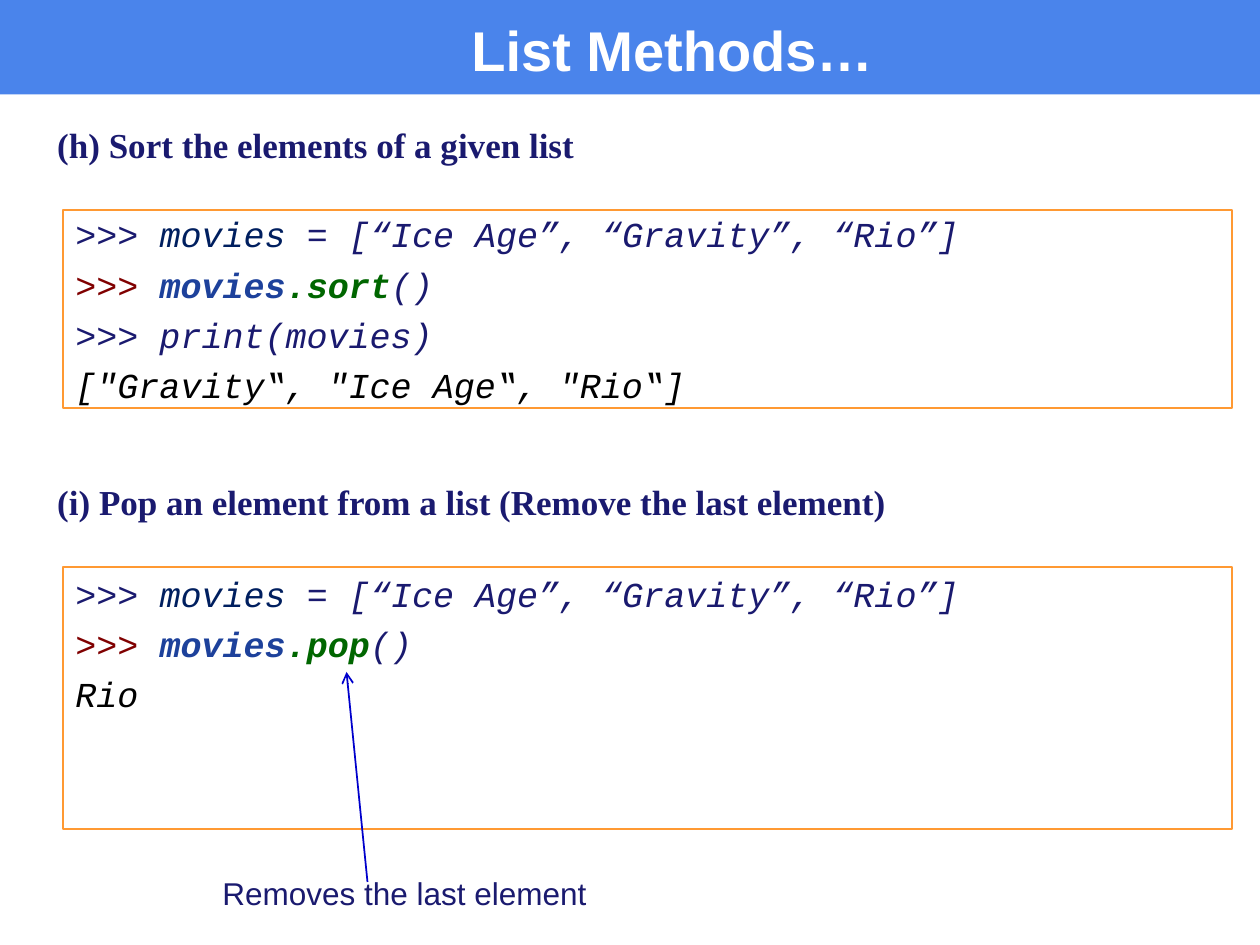
from lxml import etree
from pptx import Presentation
from pptx.dml.color import RGBColor
from pptx.enum.shapes import MSO_CONNECTOR, MSO_SHAPE
from pptx.enum.text import MSO_ANCHOR, PP_ALIGN
from pptx.oxml.ns import qn
from pptx.util import Pt

RECT = MSO_SHAPE.RECTANGLE
STRAIGHT = MSO_CONNECTOR.STRAIGHT
TOP = MSO_ANCHOR.TOP
LEFT = PP_ALIGN.LEFT

COLORS = {
    "bar": "4A84EB", "white": "FFFFFF", "navy": "1A1A6F", "variable": "001F5F",
    "prompt": "800000", "object": "1D419B", "method": "006600",
    "output": "000000", "frame": "FF9933", "arrow": "0000CC",
}

TITLE = "List Methods…"
CAPTION = "Removes the last element"
ASSIGN = [(">>> ", "navy", False), ("movies ", "variable", False),
          ("= [“Ice Age”, “Gravity”, “Rio”]", "navy", False)]


def call(method):
    return [(">>> ", "prompt", False), ("movies", "object", True),
            ("." + method, "method", True), ("()", "navy", False)]


SECTIONS = [
    {"heading": "(h) Sort the elements of a given list",
     "heading_top": 69.8, "top": 120.2, "height": 113, "inset": 1.4,
     "code": [ASSIGN, call("sort"), [(">>> print(movies)", "navy", False)],
              [("[\"Gravity‟, \"Ice Age‟, \"Rio‟]", "output", False)]]},
    {"heading": "(i) Pop an element from a list (Remove the last element)",
     "heading_top": 273.6, "top": 324, "height": 149.8, "inset": 2.9,
     "code": [ASSIGN, call("pop"), [("Rio", "output", False)]]},
]

prs = Presentation()
prs.slide_width, prs.slide_height = Pt(720), Pt(540)
slide = prs.slides.add_slide(prs.slide_layouts[6])


def rgb(name):
    return RGBColor.from_string(COLORS[name])


def add_rect(x, y, w, h, fill=None, line=None):
    s = slide.shapes.add_shape(RECT, Pt(x), Pt(y), Pt(w), Pt(h))
    s.shadow.inherit = False
    if fill:
        s.fill.solid()
        s.fill.fore_color.rgb = rgb(fill)
    else:
        s.fill.background()
    if line:
        s.line.color.rgb = rgb(line)
        s.line.width = Pt(1)
    else:
        s.line.fill.background()
    return s


def write(s, lines, font, size, italic=False, left=0, top=0.9, gap=0):
    tf = s.text_frame
    tf.word_wrap = True
    tf.vertical_anchor = TOP
    tf.margin_left, tf.margin_top = Pt(left), Pt(top)
    tf.margin_right = tf.margin_bottom = 0
    for i, line in enumerate(lines):
        p = tf.add_paragraph() if i else tf.paragraphs[0]
        p.alignment = LEFT
        p.space_before = Pt(gap if i else 0)
        for text, color, bold in line:
            r = p.add_run()
            r.text = text
            r.font.name, r.font.size = font, Pt(size)
            r.font.bold, r.font.italic = bold, italic
            r.font.color.rgb = rgb(color)


def add_label(text, x, y, w, h, font, size, color="navy", bold=True):
    s = slide.shapes.add_textbox(Pt(x), Pt(y), Pt(w), Pt(h))
    write(s, [[(text, color, bold)]], font, size, left=0.9)


add_rect(0, 0, 720, 54, fill="bar")
add_label(TITLE, 268.5, 8, 240, 40, "Arial", 32, color="white")

for section in SECTIONS:
    add_label(section["heading"], 31.8, section["heading_top"], 516, 26,
              "Times New Roman", 20)
    box = add_rect(36, section["top"], 668.2, section["height"], line="frame")
    write(box, section["code"], "Courier New", 20, italic=True,
          left=7.2, top=section["inset"], gap=4.8)

arrow = slide.shapes.add_connector(STRAIGHT, Pt(210), Pt(504), Pt(198), Pt(384))
arrow.line.color.rgb = rgb("arrow")
arrow.line.width = Pt(1)
etree.SubElement(arrow.line._get_or_add_ln(), qn("a:tailEnd"), type="arrow")
etree.SubElement(arrow._element.spPr, qn("a:effectLst"))

add_label(CAPTION, 126.2, 498.3, 230, 24, "Arial", 18, bold=False)

prs.save("out.pptx")
